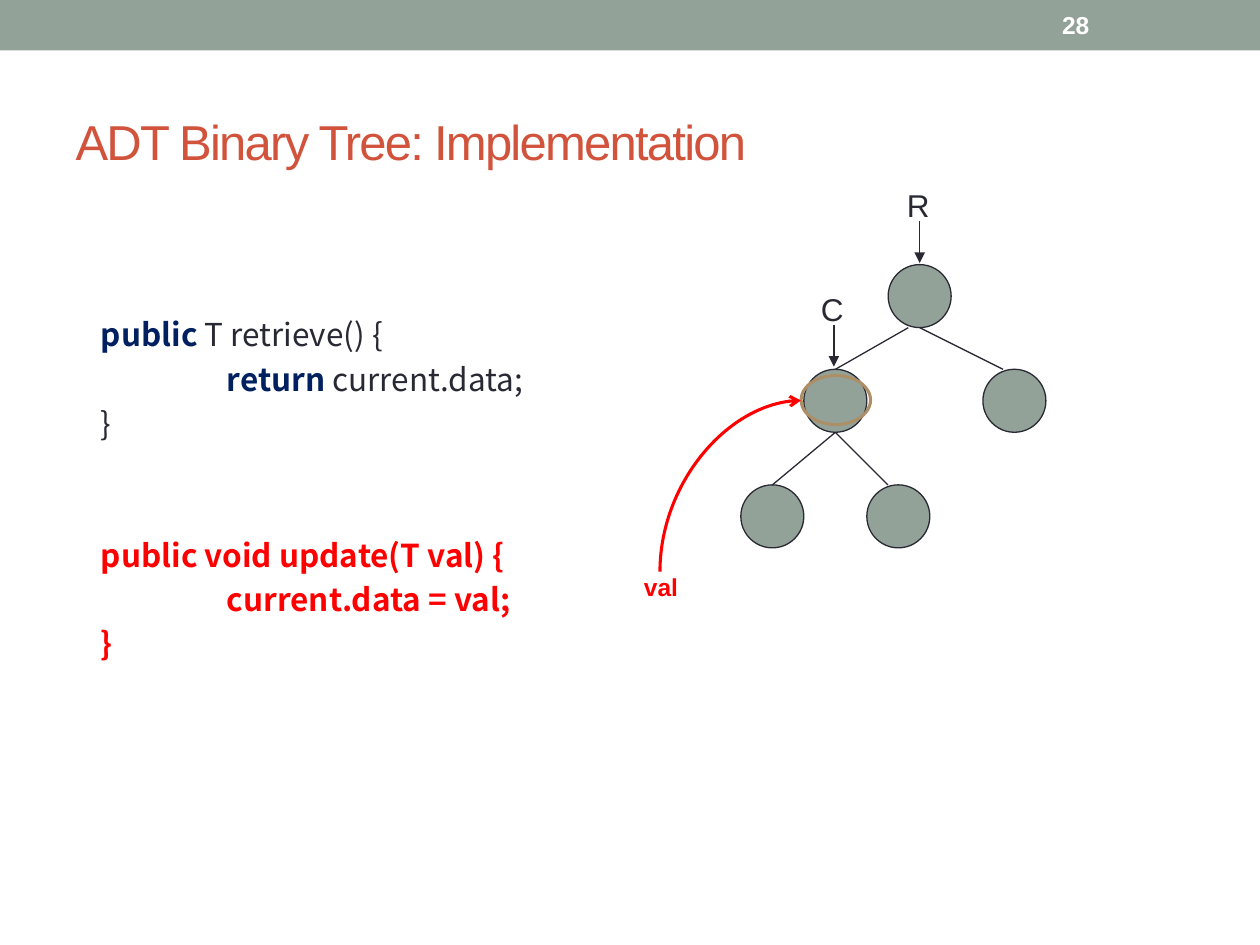
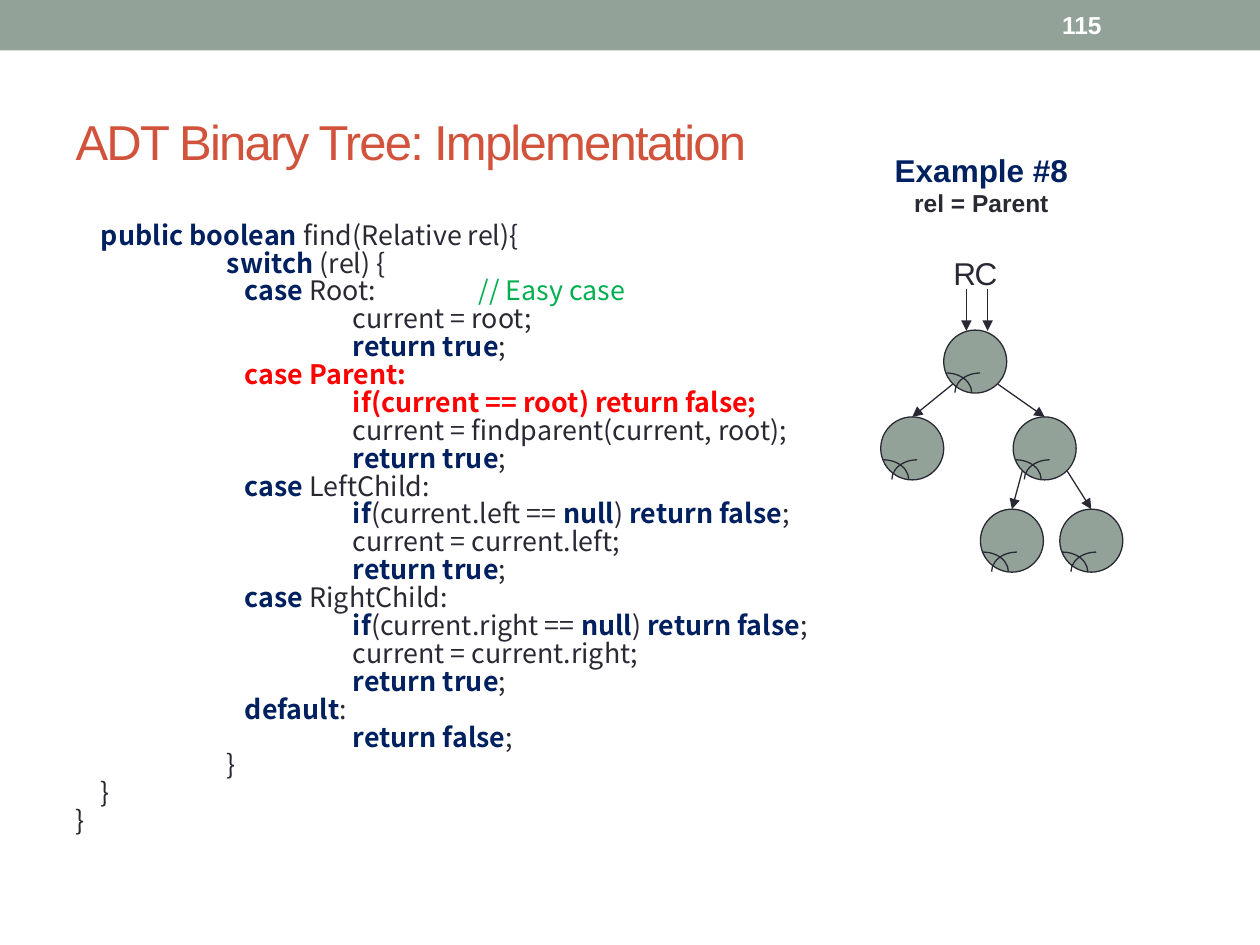
from pptx import Presentation
from pptx.dml.color import RGBColor
from pptx.enum import shapes as sh, text as tx
from pptx.oxml import ns, xmlchemy as xc
from pptx.util import Cm, Pt

HEX = {"sage": "93A299", "ink": "292934", "navy": "002060", "red": "FF0000",
       "rust": "D2533C", "green": "00B050", "tan": "AD8F67", "white": "FFFFFF"}
SANS, CODE = "Arial", "Noto Sans CJK SC"
TITLE = "ADT Binary Tree: Implementation"
NODE = 1.27
STEPS = [0, 0.51, 3.05, 3.41, 5.59]  # code indents in cm

# Code lines are (step, text): *keyword*, ~comment~, and a leading ! for red.
ACCESS = [
    (1, "*public *T retrieve() {"),
    (2, "*return *current.data;"),
    (1, "}"),
    (1, "!public void update(T val) {"),
    (2, "!current.data = val;"),
    (1, "!}"),
]
FIND = [
    (1, "*public boolean *find(Relative rel){"),
    (2, "*switch *(rel) {"),
    (3, "*case *Root:\t~// Easy case~"),
    (4, "current = root;"),
    (4, "*return true*;"),
    (3, "!case Parent:"),
    (4, "!if(current == root) return false;"),
    (4, "current = findparent(current, root);"),
    (4, "*return true*;"),
    (3, "*case *LeftChild:"),
    (4, "*if*(current.left == *null*) *return false*;"),
    (4, "current = current.left;"),
    (4, "*return true*;"),
    (3, "*case *RightChild:"),
    (4, "*if*(current.right == *null*) *return false*;"),
    (4, "current = current.right;"),
    (4, "*return true*;"),
    (3, "*default*:"),
    (4, "*return false*;"),
    (2, "}"),
    (1, "}"),
    (0, "}"),
]

# Node centres in cm; edges are (parent, child, start shift, end shift).
TREE_A = {
    "nodes": [(18.54, 5.97), (16.84, 8.08), (20.45, 8.08), (15.57, 10.41), (18.11, 10.41)],
    "edges": [(0, 1, -0.23, 0), (0, 2, 0, -0.23), (1, 3, 0, 0), (1, 4, 0, -0.21)],
    "marks": [("R", 18.49, 3.63), ("C", 16.76, 5.72)],
}
TREE_B = {
    "nodes": [(19.66, 7.29), (18.39, 9.04), (21.06, 9.04), (20.4, 10.9), (22, 10.9)],
    "edges": [(0, 1, -0.45, 0), (0, 2, 0.45, 0), (2, 3, -0.45, 0), (2, 4, 0.45, 0)],
    "marks": [("R", 19.43, 5), ("C", 19.86, 5)],
}


def rgb(name):
    return RGBColor.from_string(HEX[name])


def write(para, words, size=18, color="ink", bold=False, font=SANS, track=None):
    """Add one formatted run to a paragraph."""
    run = para.add_run()
    run.text = words
    run.font.size, run.font.bold, run.font.name = Pt(size), bold, font
    run.font.color.rgb = rgb(color)
    if track is not None:
        run.font._element.set("spc", str(track))


def place(part, *area):
    part.left, part.top, part.width, part.height = map(Cm, area)


def label(slide, area, lines, align="CENTER", wrap=False):
    """Add a text box; lines are (words, format) pairs."""
    frame = slide.shapes.add_textbox(*map(Cm, area)).text_frame
    frame.word_wrap = wrap
    frame.vertical_anchor = tx.MSO_ANCHOR.MIDDLE
    for i, (words, style) in enumerate(lines):
        para = frame.add_paragraph() if i else frame.paragraphs[0]
        para.alignment = tx.PP_ALIGN[align]
        write(para, words, **style)


def draw(slide, kind, area, fill=None, line=None, width=0.75):
    form = slide.shapes.add_shape(sh.MSO_SHAPE[kind], *map(Cm, area))
    form.shadow.inherit = False
    if fill:
        form.fill.solid()
        form.fill.fore_color.rgb = rgb(fill)
    else:
        form.fill.background()
    if line:
        form.line.color.rgb, form.line.width = rgb(line), Pt(width)
    else:
        form.line.fill.background()
    return form


def link(slide, ends, color="ink", width=0.75, tip=None):
    """Add a straight line with an optional arrowhead at its end."""
    wire = slide.shapes.add_connector(sh.MSO_CONNECTOR.STRAIGHT, *map(Cm, ends))
    wire.line.color.rgb, wire.line.width = rgb(color), Pt(width)
    if tip:
        wire.line._get_or_add_ln().append(xc.OxmlElement("a:tailEnd"))
        wire.line._get_or_add_ln()[-1].set("type", tip)
    wire._element.spPr.append(xc.OxmlElement("a:effectLst"))
    return wire


def curve(slide, area, **style):
    """Add a red arrow that rises from below and bends to the right."""
    left, top, wide, high = area
    wire = link(slide, (left, top, left + wide, top + high), **style)
    props = wire._element.spPr
    props.find(ns.qn("a:prstGeom")).set("prst", "curvedConnector2")
    frame = props.find(ns.qn("a:xfrm"))
    for key, value in (("rot", "5400000"), ("flipH", "1"), ("flipV", "1")):
        frame.set(key, value)


def start(deck, number):
    """Add a slide with the shared band, page number and title."""
    slide = deck.slides.add_slide(deck.slide_layouts[1])
    draw(slide, "RECTANGLE", (0, 0, 25.4, 1.02), "sage")
    label(slide, (21.16, 0.05, 2.97, 0.91),
          [(number, dict(size=14, color="white", bold=True))], "LEFT", True)
    title = slide.shapes.title
    place(title, 1.27, 1.47, 22.86, 2.74)
    frame = title.text_frame
    frame.vertical_anchor = tx.MSO_ANCHOR.MIDDLE
    frame.auto_size = tx.MSO_AUTO_SIZE.NONE
    frame.paragraphs[0].alignment = tx.PP_ALIGN.LEFT
    write(frame.paragraphs[0], TITLE, 28, "rust", track=-100)
    return slide


def split(words):
    """Yield (piece, colour, bold) from marked code."""
    if words.startswith("!"):
        yield words[1:], "red", True
        return
    for i, part in enumerate(words.split("*")):
        for j, piece in enumerate(part.split("~")):
            if piece:
                color = "navy" if i % 2 else "green" if j % 2 else "ink"
                yield piece, color, i % 2 == 1


def code(slide, lines, size, lead=None, inset=0.13, gaps=()):
    """Fill the body; gaps names the lines that open a new block."""
    body = slide.placeholders[1]
    place(body, 1.27, 4.45, 22.86, 13.54)
    frame = body.text_frame
    frame.auto_size = tx.MSO_AUTO_SIZE.NONE
    frame.margin_top = Cm(inset)
    for i, (step, words) in enumerate(lines):
        para = frame.add_paragraph() if i else frame.paragraphs[0]
        if lead:
            para.line_spacing = lead
        if i in gaps:
            para.space_before = Pt(54.1)
        props = para._p.get_or_add_pPr()
        props.set("marL", str(Cm(STEPS[1])))
        props.set("indent", str(Cm(STEPS[step] - STEPS[1])))
        props.set("defTabSz", str(Cm(2.54)))
        props.append(xc.OxmlElement("a:buNone"))
        for piece, color, bold in split(words):
            write(para, piece, size, color, bold, CODE)


def tree(slide, nodes, edges, marks, drop=NODE / 2, tip=None, arcs=False):
    """Draw nodes, edges leaving drop below a centre, and labelled pointers."""
    for x, y in nodes:
        draw(slide, "OVAL", (x - NODE / 2, y - NODE / 2, NODE, NODE), "sage", "ink")
        if arcs:
            draw(slide, "ARC", (x - 1.09, y + 0.23, 1.02, 0.79), line="ink")
            bow = draw(slide, "ARC", (x - 0.41, y + 0.23, 1.02, 0.79), line="ink")
            bow.adjustments[0], bow.adjustments[1] = 108, 162  # 180 to 270 degrees
    for top, low, out, into in edges:
        (x, y), (to_x, to_y) = nodes[top], nodes[low]
        link(slide, (x + out, y + drop, to_x + into, to_y - NODE / 2), tip=tip)
    for name, x, y in marks:
        label(slide, (x - 0.46, y, 0.92, 1.02), [(name, {})])
        link(slide, (x + 0.05, y + 0.83, x + 0.05, y + 1.67), tip="triangle")


def main():
    deck = Presentation()
    deck.slide_width, deck.slide_height = Cm(25.4), Cm(19.05)

    slide = start(deck, "28")
    code(slide, ACCESS, 18, inset=1.91, gaps=(3,))
    tree(slide, **TREE_A)
    draw(slide, "OVAL", (16.15, 7.57, 1.4, 0.99), line="tan", width=1.75)
    curve(slide, (13, 8.38, 3.45, 2.84), color="red", width=1.75, tip="arrow")
    label(slide, (12.73, 11.4, 1.19, 0.86),
          [("val", dict(size=14, color="red", bold=True))])

    slide = start(deck, "115")
    code(slide, FIND, 15.3, lead=0.7)
    tree(slide, **TREE_B, drop=0.45, tip="triangle", arcs=True)
    label(slide, (17.7, 2.9, 4.17, 1.63),
          [("Example #8", dict(color="navy", bold=True)),
           ("rel = Parent", dict(size=14, bold=True))])

    deck.save("out.pptx")


if __name__ == "__main__":
    main()
